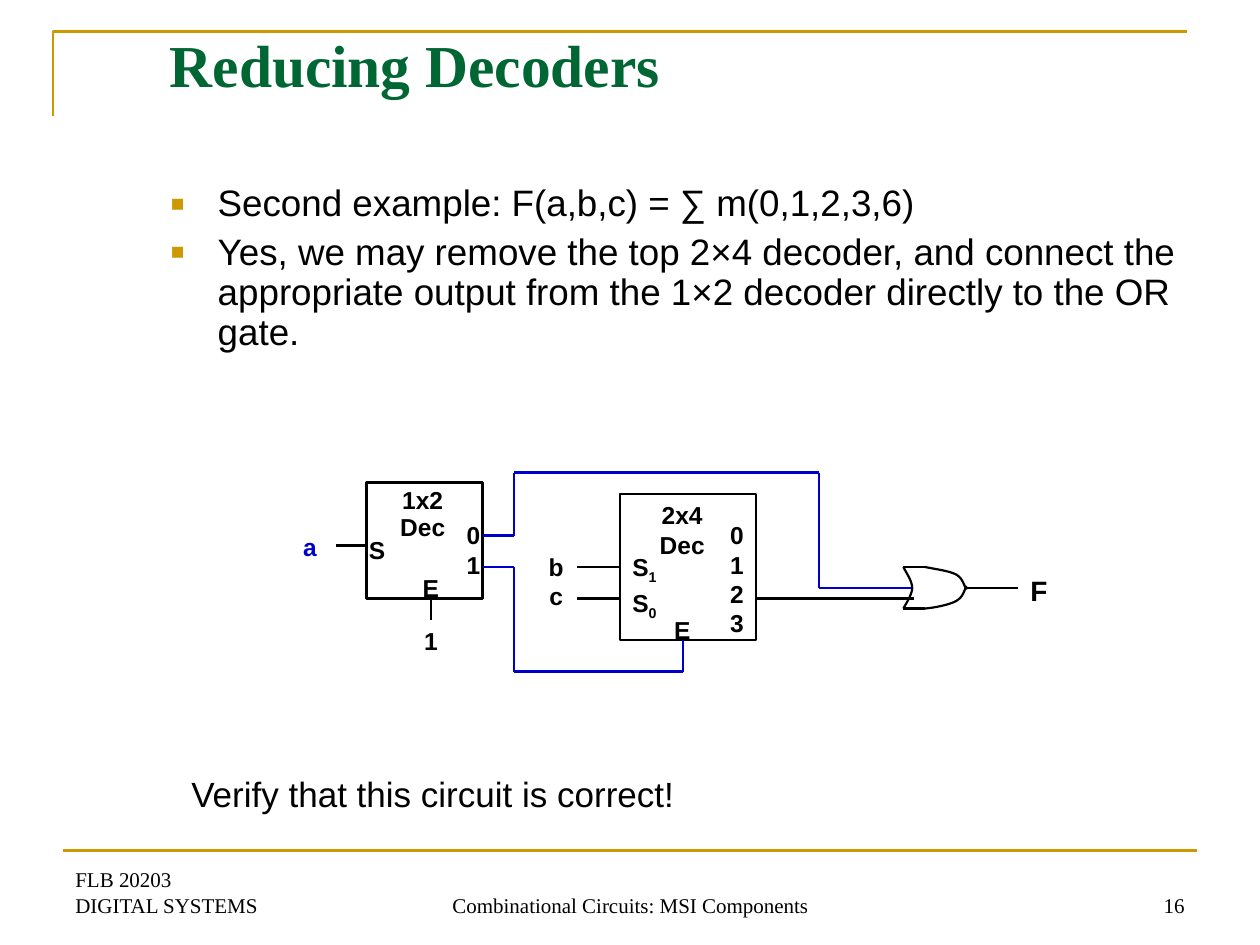
import itertools
import pptx
import pptx.dml.color
import pptx.enum.shapes
import pptx.enum.text
import pptx.oxml
import pptx.oxml.ns
import pptx.util
from pptx.util import Inches

BLACK = pptx.dml.color.RGBColor(0x00, 0x00, 0x00)
BLUE = pptx.dml.color.RGBColor(0x00, 0x00, 0xCC)
GREEN = pptx.dml.color.RGBColor(0x00, 0x66, 0x33)
GOLD = pptx.dml.color.RGBColor(0xCC, 0x99, 0x00)
SERIF, SANS = "Times New Roman", "Arial"
LEFT = pptx.enum.text.PP_ALIGN.LEFT
CENTER = pptx.enum.text.PP_ALIGN.CENTER
RIGHT = pptx.enum.text.PP_ALIGN.RIGHT
TOP = pptx.enum.text.MSO_ANCHOR.TOP
BOTTOM = pptx.enum.text.MSO_ANCHOR.BOTTOM

TITLE = "Reducing Decoders"
BULLETS = [
    "Second example: F(a,b,c) = ∑ m(0,1,2,3,6)",
    "Yes, we may remove the top 2×4 decoder, and connect the appropriate "
    "output from the 1×2 decoder directly to the OR gate.",
]
CLOSING = "Verify that this circuit is correct!"
FOOTERS = [
    (0.5, 2.33, ["FLB 20203", "DIGITAL SYSTEMS"], LEFT),
    (3.42, 3.17, ["Combinational Circuits: MSI Components"], CENTER),
    (7.17, 2.33, ["16"], RIGHT),
]

SMALL_DECODER = (2.91, 3.83, 0.92, 0.92)
LARGE_DECODER = (4.92, 3.92, 1.08, 1.16)
LABELS = [
    ((8.08, 4.5, 0.33, 0.37), ["F"], LEFT, {"size": 16}),
    ((5, 3.92, 0.83, 0.57), ["2x4", "Dec"], CENTER, {}),
    ((4.92, 4.33, 0.47, 0.66), ["S_1", "S_0"], LEFT, {"gap": 1.8}),
    ((5.58, 4.08, 0.42, 1.04), ["0", "1", "2", "3"], RIGHT, {}),
    ((5.25, 4.83, 0.33, 0.34), ["E"], CENTER, {}),
    ((4.25, 4.33, 0.33, 0.57), ["b", "c"], CENTER, {}),
    ((2.94, 3.83, 0.83, 0.52), ["1x2", "Dec"], CENTER, {"spacing": 0.9}),
    ((2.83, 4.2, 0.47, 0.34), ["S"], LEFT, {}),
    ((3.49, 4.08, 0.42, 0.57), ["0", "1"], RIGHT, {}),
    ((3.24, 4.5, 0.36, 0.34), ["E"], CENTER, {}),
    ((2.25, 4.17, 0.42, 0.34), ["a"], CENTER, {"color": BLUE}),
    ((3.17, 4.92, 0.5, 0.34), ["1"], CENTER, {}),
]
WIRES = [
    ([(6, 4.75), (7.25, 4.75)], BLACK, 1.25),
    ([(7.67, 4.67), (8.08, 4.67)], BLACK, 1.25),
    ([(4.58, 4.75), (4.92, 4.75)], BLACK, 1.25),
    ([(2.67, 4.33), (2.92, 4.33)], BLACK, 1.25),
    ([(3.42, 4.75), (3.42, 4.92)], BLACK, 0.75),
    ([(3.83, 4.25), (4.08, 4.25), (4.08, 3.75), (6.5, 3.75), (6.5, 4.67), (7.23, 4.67)], BLUE, 1.25),
    ([(3.83, 4.5), (4.08, 4.5), (4.08, 5.33), (5.42, 5.33), (5.42, 5.08)], BLUE, 1.25),
    ([(7.17, 4.5), (7.34, 4.5)], BLACK, 1.25),
    ([(7.17, 4.83), (7.34, 4.83)], BLACK, 1.25),
]
GATE_CURVES = [
    [(7.17, 4.5), (7.2, 4.56), (7.24, 4.61), (7.24, 4.67), (7.24, 4.72), (7.18, 4.81), (7.17, 4.83)],
    [(7.34, 4.5), (7.44, 4.52), (7.53, 4.53), (7.59, 4.56), (7.64, 4.59), (7.65, 4.64), (7.67, 4.68)],
    [(7.34, 4.83), (7.44, 4.82), (7.53, 4.8), (7.59, 4.77), (7.64, 4.74), (7.65, 4.7), (7.67, 4.65)],
]
CURVE_STEPS = 8


def add_text(shapes, place, lines, size, font=SANS, color=BLACK, bold=False,
             align=LEFT, anchor=TOP, gap=0, spacing=None, bullet=False):
    box = shapes.add_textbox(*map(Inches, place))
    frame = box.text_frame
    frame.word_wrap = True
    frame.vertical_anchor = anchor
    for index, line in enumerate(lines):
        para = frame.paragraphs[0] if index == 0 else frame.add_paragraph()
        para.alignment = align
        if spacing:
            para.line_spacing = spacing
        if index and gap:
            para.space_before = pptx.util.Pt(gap)
        if bullet:
            add_bullet(para)
        for level, part in enumerate(line.split("_")):
            span = para.add_run()
            span.text = part
            span.font.size = pptx.util.Pt(size)
            span.font.name = font
            span.font.bold = bold
            span.font.color.rgb = color
            if level:
                span._r.get_or_add_rPr().set("baseline", "-25000")


def add_bullet(para):
    properties = para._p.get_or_add_pPr()
    properties.set("marL", str(Inches(0.38)))
    properties.set("indent", str(Inches(-0.38)))
    space = pptx.oxml.ns.nsdecls("a")
    for markup in (
        f'<a:buClr {space}><a:srgbClr val="{GOLD}"/></a:buClr>',
        f'<a:buSzPct {space} val="120000"/>',
        f'<a:buFont {space} typeface="{SANS}"/>',
        f'<a:buChar {space} char="▪"/>',
    ):
        properties.append(pptx.oxml.parse_xml(markup))


def add_line(shapes, start, end, color, width):
    line = shapes.add_connector(pptx.enum.shapes.MSO_CONNECTOR.STRAIGHT, *map(Inches, start + end))
    line.line.color.rgb = color
    line.line.width = pptx.util.Pt(width)
    line._element.spPr.append(pptx.oxml.parse_xml(f"<a:effectLst {pptx.oxml.ns.nsdecls('a')}/>"))
    return line


def style_outline(shape, color, width):
    shape.shadow.inherit = False
    shape.fill.background()
    shape.line.color.rgb = color
    shape.line.width = pptx.util.Pt(width)


def add_outline(shapes, points, color, width):
    corners = [tuple(map(Inches, point)) for point in points]
    builder = shapes.build_freeform(*corners[0])
    builder.add_line_segments(corners[1:], close=False)
    style_outline(builder.convert_to_shape(), color, width)


def add_decoder(shapes, place):
    decoder = shapes.add_shape(pptx.enum.shapes.MSO_SHAPE.RECTANGLE, *map(Inches, place))
    style_outline(decoder, BLACK, 1.5)
    return decoder


def trace_curve(controls):
    points = [controls[0]]
    for first in range(0, len(controls) - 1, 3):
        for step in range(1, CURVE_STEPS + 1):
            t = step / CURVE_STEPS
            weights = ((1 - t) ** 3, 3 * t * (1 - t) ** 2, 3 * t ** 2 * (1 - t), t ** 3)
            segment = controls[first:first + 4]
            points.append(tuple(sum(w * p[axis] for w, p in zip(weights, segment)) for axis in (0, 1)))
    return points


def main():
    deck = pptx.Presentation()
    deck.slide_width, deck.slide_height = Inches(10), Inches(7.5)
    page = deck.slides.add_slide(deck.slide_layouts[6])
    shapes = page.shapes

    add_outline(shapes, [(0.42, 0.92), (0.42, 0.25), (9.42, 0.25)], GOLD, 1.5)
    add_line(shapes, (0.5, 6.75), (9.5, 6.75), GOLD, 1.5)
    for left, width, lines, align in FOOTERS:
        add_text(shapes, (left, 6.83, width, 0.5), lines, 12, SERIF, align=align, anchor=BOTTOM)
    add_text(shapes, (1.25, 0.17, 8.5, 1.25), [TITLE], 34, SERIF, GREEN, True)
    add_text(shapes, (1.25, 1.42, 8.5, 1.75), BULLETS, 21, gap=5.2, spacing=0.9, bullet=True)

    circuit = shapes.add_group_shape().shapes
    for curve in GATE_CURVES:
        add_outline(circuit, trace_curve(curve), BLACK, 1.25)
    add_decoder(circuit, SMALL_DECODER)
    large_decoder = add_decoder(circuit, LARGE_DECODER)
    for points, color, width in WIRES:
        for start, end in itertools.pairwise(points):
            add_line(circuit, start, end, color, width)
    add_line(circuit, (4.58, 4.5), (4.92, 4.5), BLACK, 1.25).end_connect(large_decoder, 1)
    for place, lines, align, extra in LABELS:
        add_text(circuit, place, lines, **{"size": 14, "bold": True, "align": align, **extra})

    add_text(shapes, (1.42, 6.08, 4.17, 0.44), [CLOSING], 20)
    deck.save("out.pptx")


if __name__ == "__main__":
    main()
